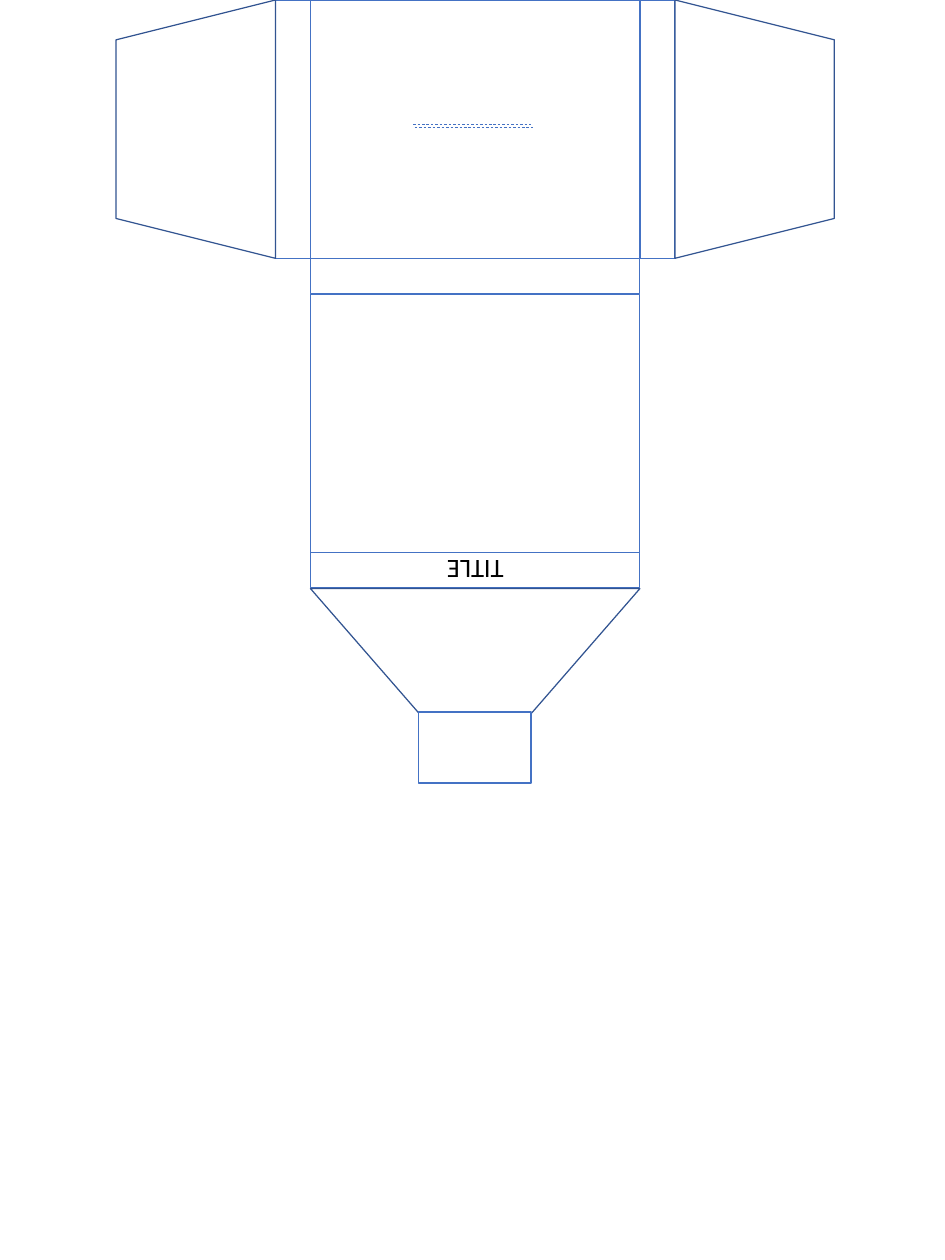
from pptx import Presentation
from pptx.dml.color import RGBColor
from pptx.enum.dml import MSO_LINE
from pptx.enum.shapes import MSO_CONNECTOR, MSO_SHAPE
from pptx.enum.text import MSO_AUTO_SIZE, PP_ALIGN
from pptx.util import Pt
from lxml import etree

PX = 9144
RECT = MSO_SHAPE.RECTANGLE
FLAP = MSO_SHAPE.TRAPEZOID
LINE = MSO_CONNECTOR.STRAIGHT
DASH = MSO_LINE.DASH
FIT = MSO_AUTO_SIZE.SHAPE_TO_FIT_TEXT
CENTER = PP_ALIGN.CENTER
NS = "{http://schemas.openxmlformats.org/drawingml/2006/main}"

WHITE = RGBColor(0xFF, 0xFF, 0xFF)
BLACK = RGBColor(0, 0, 0)
BLUE = RGBColor(0x44, 0x72, 0xC4)
NAVY = RGBColor(0x32, 0x54, 0x91)

LEFT, WIDE, TALL = 345, 366, 287
RIGHT = LEFT + WIDE
EDGE, STEP, WING = 39, 327, 177


def add_panel(slide, x, y, w, h, kind=RECT, color=BLUE, turn=0, slant=None):
    if turn % 180:
        x, y, w, h = x + (w - h) / 2, y + (h - w) / 2, h, w
    box = [round(n * PX) for n in (x, y, w, h)]
    panel = slide.shapes.add_shape(kind, *box)
    panel.rotation = turn
    panel.shadow.inherit = False
    panel.fill.solid()
    panel.fill.fore_color.rgb = WHITE
    panel.line.color.rgb = color
    panel.line.width = Pt(1)
    if slant:
        panel.adjustments[0] = slant


def add_label(slide, text, x, y, w, h):
    label = slide.shapes.add_textbox(x * PX, y * PX, w * PX, h * PX)
    label.rotation = 180
    frame = label.text_frame
    frame.word_wrap = False
    frame.auto_size = FIT
    frame.text = text
    para = frame.paragraphs[0]
    para.alignment = CENTER
    para.font.name = "Calibri"
    para.font.size = Pt(21.2)
    para.font.color.rgb = BLACK


def add_slit(slide, x, y, w):
    slit = slide.shapes.add_connector(LINE, x * PX, y * PX, (x + w) * PX, y * PX)
    slit.line.color.rgb = BLUE
    slit.line.width = Pt(0.5)
    slit.line.dash_style = DASH
    etree.SubElement(slit._element.spPr, NS + "effectLst")


def main():
    deck = Presentation()
    deck.slide_width, deck.slide_height = 1050 * PX, 1400 * PX
    slide = deck.slides.add_slide(deck.slide_layouts[6])

    add_panel(slide, LEFT, 0, WIDE, TALL)
    for x in (LEFT - EDGE, RIGHT):
        add_panel(slide, x, 0, EDGE, TALL)
    for x, turn in ((LEFT - EDGE - WING, 270), (RIGHT + EDGE, 90)):
        add_panel(slide, x, 0, WING, TALL, FLAP, NAVY, turn)

    add_panel(slide, LEFT, TALL, WIDE, EDGE, turn=270)
    add_panel(slide, LEFT, STEP, WIDE, TALL)
    add_panel(slide, LEFT, STEP + TALL, WIDE, EDGE, turn=270)
    add_panel(slide, LEFT, 2 * STEP, WIDE, 138, FLAP, NAVY, 180, 0.87)
    add_panel(slide, 465, 791, 125, 79)

    add_label(slide, "TITLE", 486, 611, 84, 46)
    for x, y in ((459, 138), (461, 141)):
        add_slit(slide, x, y, 131)
    deck.save("out.pptx")


if __name__ == "__main__":
    main()
